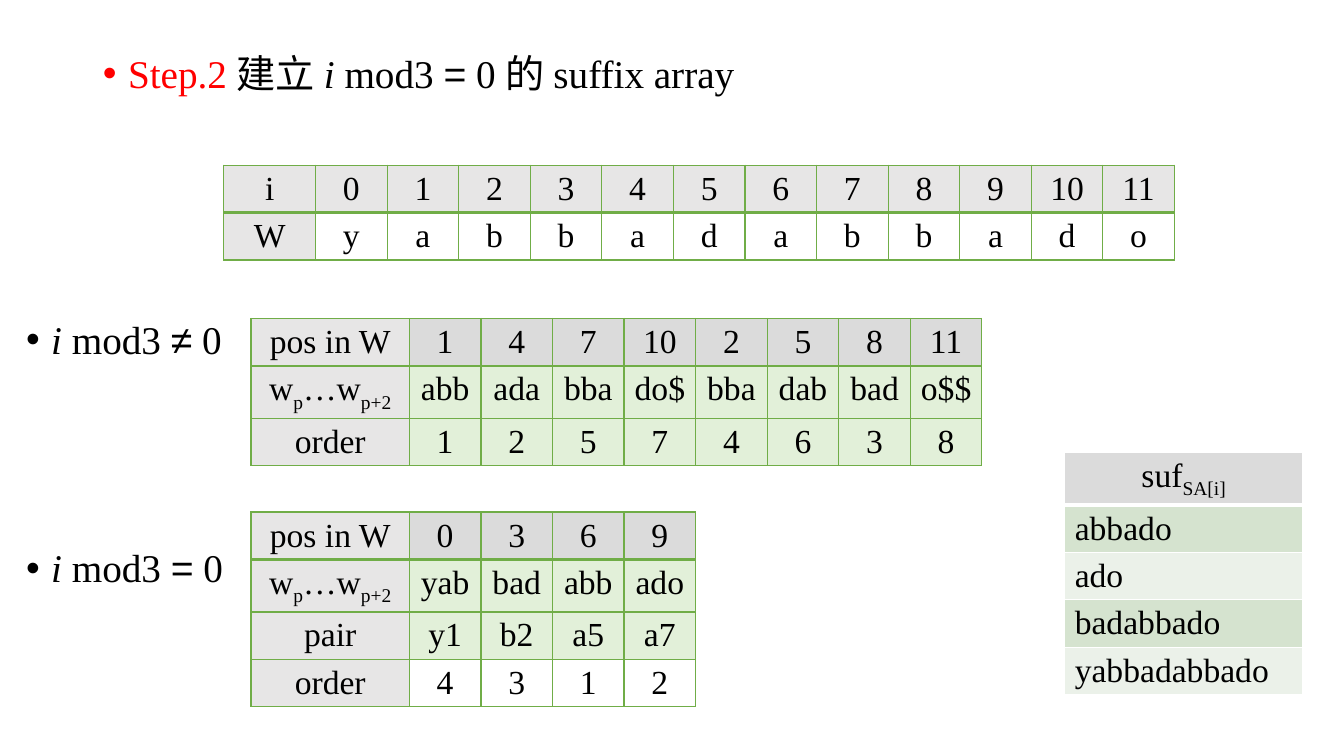
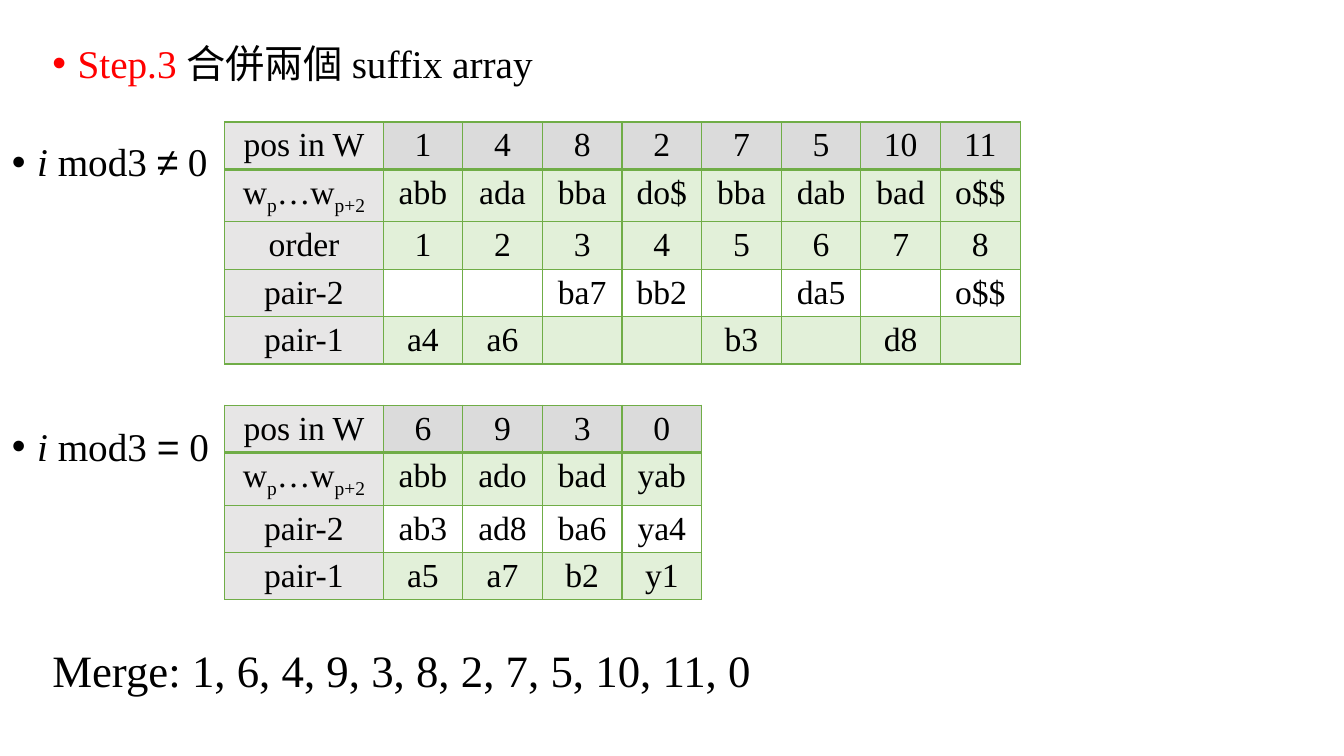
from lxml import etree
from pptx import Presentation
from pptx.dml.color import RGBColor
from pptx.enum.text import MSO_AUTO_SIZE, PP_ALIGN
from pptx.oxml.ns import qn
from pptx.util import Inches, Pt

CENTER, LEFT = PP_ALIGN.CENTER, PP_ALIGN.LEFT
NO_FIT = MSO_AUTO_SIZE.NONE

BLACK = RGBColor(0x00, 0x00, 0x00)
WHITE = RGBColor(0xFF, 0xFF, 0xFF)
RED = RGBColor(0xFF, 0x00, 0x00)
GREEN = RGBColor(0x70, 0xAD, 0x47)
PALE = RGBColor(0xE2, 0xF0, 0xD9)
SAGE = RGBColor(0xD5, 0xE3, 0xCF)
MIST = RGBColor(0xEB, 0xF1, 0xE9)
GREY = RGBColor(0xE7, 0xE6, 0xE6)
DARK = RGBColor(0xDB, 0xDB, 0xDB)

SERIF, SANS = "Times New Roman", "Arial"
ROW = 0.47
STEM = 1.57
WINDOW = "w|p|…w|p+2"


def add_run(par, text, **style):
    run = par.add_run()
    run.text = text
    look = {"size": Pt(28), "name": SERIF, "italic": False} | style
    color = look.pop("color", BLACK)
    for key, value in look.items():
        setattr(run.font, key, value)
    run.font.color.rgb = color
    return run


def add_bullet(par, runs, gap=0):
    """Format a hanging bullet line; runs are (text, style) pairs."""
    props = par._p.get_or_add_pPr()
    props.set("marL", str(Inches(0.25)))
    props.set("indent", str(-Inches(0.25)))
    etree.SubElement(props, qn("a:buFont")).set("typeface", SANS)
    etree.SubElement(props, qn("a:buChar")).set("char", "•")
    par.line_spacing = 0.9
    par.space_before = Pt(gap)
    for text, style in runs:
        add_run(par, text, **style)


def add_step(deck, left, top, runs):
    """Start a slide with its step line in the body placeholder."""
    slide = deck.slides.add_slide(deck.slide_layouts[1])
    title = slide.shapes.title._element
    title.getparent().remove(title)
    body = slide.placeholders[1]
    body.left, body.top = Inches(left), Inches(top)
    body.width, body.height = Inches(11.5), Inches(0.7)
    frame = body.text_frame
    frame.auto_size = NO_FIT
    add_bullet(frame.paragraphs[0], runs)
    return slide


def add_box(slide, left, top, width, height):
    box = slide.shapes.add_textbox(*map(Inches, (left, top, width, height)))
    box.text_frame.word_wrap = True
    return box.text_frame


def add_labels(slide, left, top, gap):
    """List the two residue classes, gap points apart."""
    frame = add_box(slide, left, top, 2.4, 3.5)
    pars = [frame.paragraphs[0], frame.add_paragraph()]
    for par, sign, space in zip(pars, "≠=", (0, gap)):
        add_bullet(par, [("i", {"italic": True}), (" mod3 ", {}),
                         (sign, {"name": SANS}), (" 0", {})], space)


def set_edges(cell, color, base):
    """Draw 1 pt edges, with a base line of its own width."""
    props = cell._tc.get_or_add_tcPr()
    for side, width in {"L": 1, "R": 1, "T": 1, "B": base}.items():
        line = etree.SubElement(props, qn(f"a:ln{side}"), w=str(Pt(width)))
        fill = etree.SubElement(line, qn("a:solidFill"))
        etree.SubElement(fill, qn("a:srgbClr"), val=str(color))


def fill_cell(cell, text, fill, edge, base, align):
    """Parts of the text between bars alternate with subscripts."""
    set_edges(cell, edge, base)
    cell.fill.solid()
    cell.fill.fore_color.rgb = fill
    par = cell.text_frame.paragraphs[0]
    par.alignment = align
    for k, part in enumerate(text.split("|") if text else []):
        run = add_run(par, part, size=Pt(24))
        if k % 2:
            run._r.get_or_add_rPr().set("baseline", "-25000")


def add_grid(slide, left, top, widths, rows):
    """Add a bare table; rows are lists of text. Return its table."""
    shape = slide.shapes.add_table(
        len(rows), len(widths), Inches(left), Inches(top),
        Inches(sum(widths)), Inches(ROW * len(rows)))
    grid = shape.table
    grid.first_row = grid.horz_banding = False
    for col, width in zip(grid.columns, widths):
        col.width = Inches(width)
    for row in grid.rows:
        row.height = Inches(ROW)
    return grid


def add_array(slide, left, top, stem, step, rows, fills):
    """Add a green-edged table: a grey stem column, one fill per row."""
    widths = [stem] + [step] * (len(rows[0]) - 1)
    grid = add_grid(slide, left, top, widths, rows)
    for r, (row, fill) in enumerate(zip(rows, fills)):
        for c, text in enumerate(row):
            fill_cell(grid.cell(r, c), text, fill if c else GREY,
                      GREEN, 1 if r else 2, CENTER)


def add_sorted(slide, left, top, width, words):
    rows = [["suf|SA[i]"]] + [[word] for word in words]
    grid = add_grid(slide, left, top, [width], rows)
    for r, (text,) in enumerate(rows):
        fill = (SAGE if r % 2 else MIST) if r else DARK
        fill_cell(grid.cell(r, 0), text, fill, WHITE,
                  1 if r else 3, LEFT if r else CENTER)


def build_sort(deck):
    slide = add_step(deck, 0.92, 0.49, [
        ("Step.2 ", {"color": RED}), ("建立 ", {}), ("i", {"italic": True}),
        (" mod3 ", {}), ("=", {"name": SANS}), (" 0 的 suffix array", {})])
    word = "yabbadabbado"
    add_array(slide, 2.22, 1.64, 0.91, 0.71, [
        ["i", *map(str, range(len(word)))],
        ["W", *word]], [GREY, WHITE])
    add_array(slide, 2.49, 3.16, STEM, 0.71, [
        ["pos in W", "1", "4", "7", "10", "2", "5", "8", "11"],
        [WINDOW, "abb", "ada", "bba", "do$", "bba", "dab", "bad", "o$$"],
        ["order", *"12574638"]], [DARK, PALE, PALE])
    add_array(slide, 2.49, 5.08, STEM, 0.71, [
        ["pos in W", *"0369"],
        [WINDOW, "yab", "bad", "abb", "ado"],
        ["pair", "y1", "b2", "a5", "a7"],
        ["order", *"4312"]], [DARK, PALE, PALE, WHITE])
    add_sorted(slide, 10.56, 4.49, 2.36,
               ["abbado", "ado", "badabbado", word])
    add_labels(slide, 0.16, 3.13, 133)


def build_merge(deck):
    slide = add_step(deck, 0.42, 0.39, [
        ("Step.3 ", {"color": RED}), ("合併兩個 suffix array", {})])
    add_array(slide, 2.23, 1.21, STEM, 0.79, [
        ["pos in W", "1", "4", "8", "2", "7", "5", "10", "11"],
        [WINDOW, "abb", "ada", "bba", "do$", "bba", "dab", "bad", "o$$"],
        ["order", *"12345678"],
        ["pair-2", "", "", "ba7", "bb2", "", "da5", "", "o$$"],
        ["pair-1", "a4", "a6", "", "", "b3", "", "d8", ""]],
        [DARK, PALE, PALE, WHITE, PALE])
    add_array(slide, 2.23, 4.02, STEM, 0.79, [
        ["pos in W", *"6930"],
        [WINDOW, "abb", "ado", "bad", "yab"],
        ["pair-2", "ab3", "ad8", "ba6", "ya4"],
        ["pair-1", "a5", "a7", "b2", "y1"]], [DARK, PALE, WHITE, PALE])
    add_labels(slide, 0.02, 1.37, 173)
    frame = add_box(slide, 0.42, 6.33, 8.11, 0.64)
    add_run(frame.paragraphs[0],
            "Merge: 1, 6, 4, 9, 3, 8, 2, 7, 5, 10, 11, 0", size=Pt(32))


def main():
    deck = Presentation()
    deck.slide_width, deck.slide_height = Inches(13.33), Inches(7.5)
    build_sort(deck)
    build_merge(deck)
    deck.save("out.pptx")


if __name__ == "__main__":
    main()
